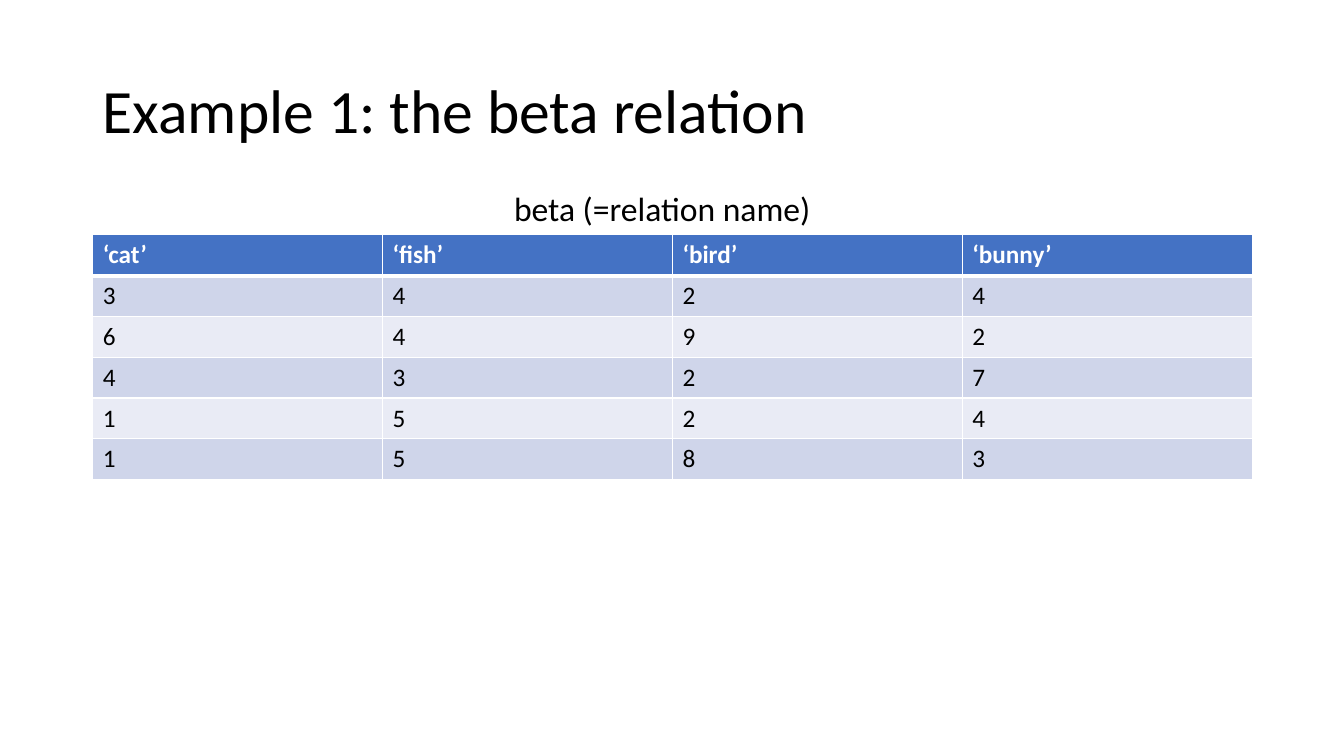
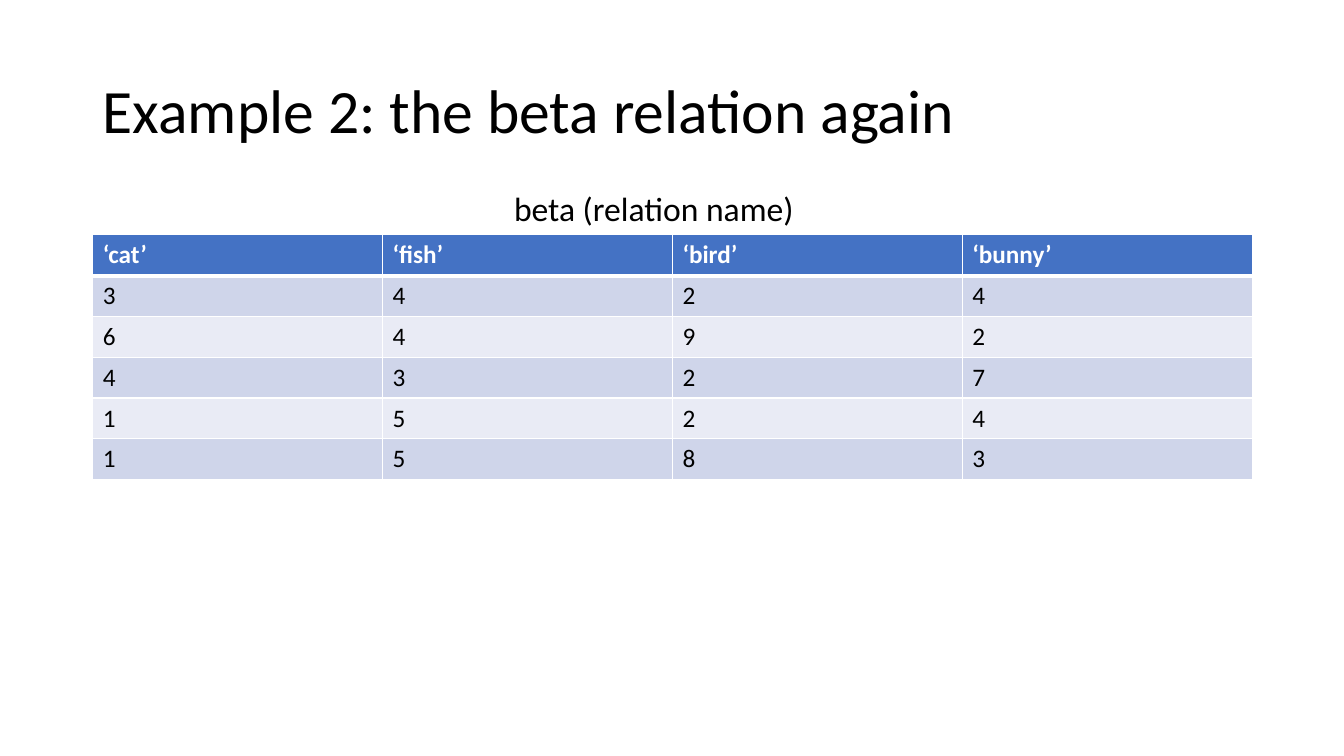
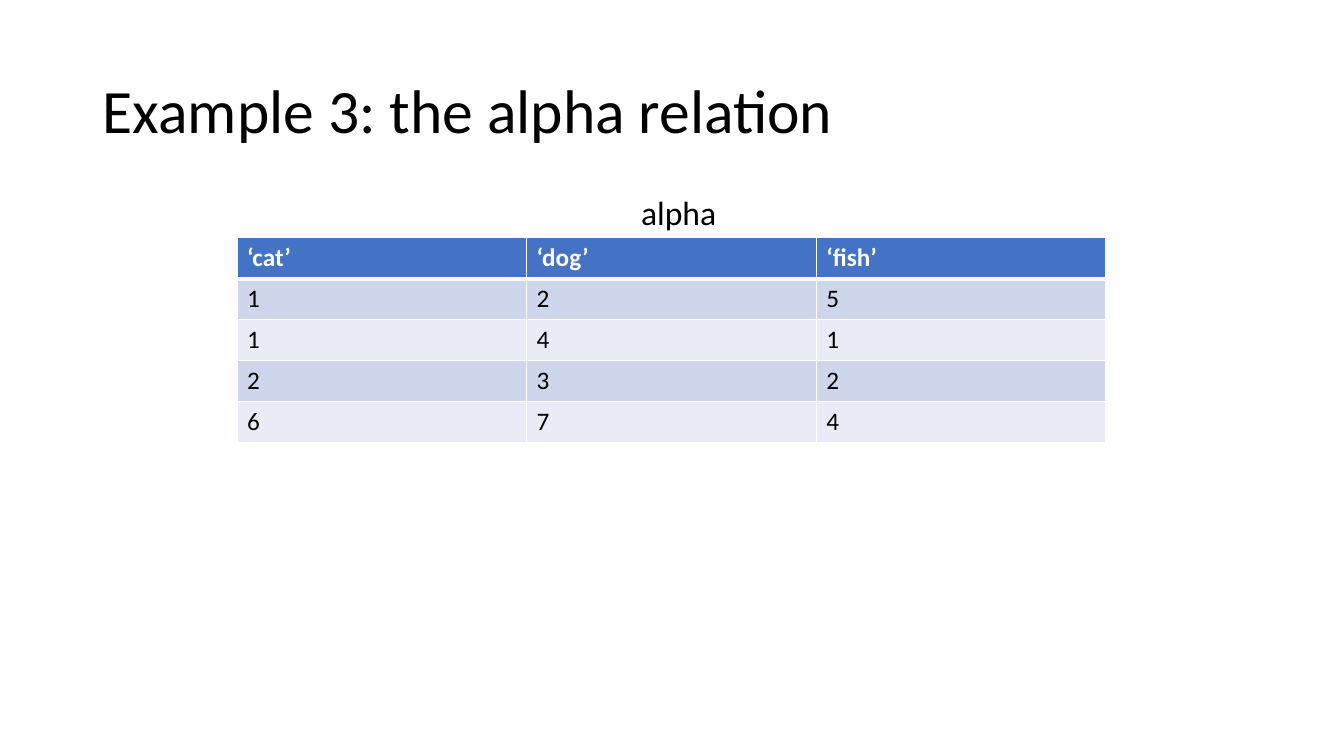
"""Build three slides that show example relations as tables."""
from dataclasses import dataclass

from lxml.etree import SubElement
from pptx import Presentation
from pptx.dml.color import RGBColor
from pptx.enum.text import MSO_ANCHOR, MSO_AUTO_SIZE
from pptx.oxml.ns import qn
from pptx.util import Inches, Pt


@dataclass(frozen=True)
class Theme:
    font: str = "Calibri"
    ink: str = "000000"
    paper: str = "FFFFFF"
    header: str = "4472C4"
    bands: tuple = ("CFD5EA", "E9EBF5")
    title_size: int = 44
    caption_size: int = 24
    cell_size: int = 18
    rule: int = 1
    header_rule: int = 3


THEME = Theme()
TITLE_AREA = (0.92, 0.4, 11.5, 1.45)

BETA = [
    ("‘cat’", "‘fish’", "‘bird’", "‘bunny’"),
    (3, 4, 2, 4),
    (6, 4, 9, 2),
    (4, 3, 2, 7),
    (1, 5, 2, 4),
    (1, 5, 8, 3),
]
ALPHA = [
    ("‘cat’", "‘dog’", "‘fish’"),
    (1, 2, 5),
    (1, 4, 1),
    (2, 3, 2),
    (6, 7, 4),
]
BETA_AREA = (0.92, 2.33, 11.5, 2.43)
ALPHA_AREA = (2.35, 2.36, 8.62, 2.03)

SLIDES = [
    {"title": "Example 1: the beta relation", "caption": "beta (=relation name)",
     "caption_area": (5, 1.82, 3.17, 0.5), "rows": BETA, "table_area": BETA_AREA},
    {"title": "Example 2: the beta relation again", "caption": "beta (relation name)",
     "caption_area": (5, 1.82, 3, 0.5), "rows": BETA, "table_area": BETA_AREA},
    {"title": "Example 3: the alpha relation", "caption": "alpha",
     "caption_area": (6.26, 1.85, 0.96, 0.5), "rows": ALPHA, "table_area": ALPHA_AREA},
]


def to_inches(area):
    return [Inches(length) for length in area]


def write(frame, text, size, color=THEME.ink, bold=False):
    paragraph = frame.paragraphs[0]
    span = paragraph.add_run()
    span.text = str(text)
    formats = {"name": THEME.font, "size": Pt(size), "bold": bold}
    for name, value in formats.items():
        setattr(span.font, name, value)
    span.font.color.rgb = RGBColor.from_string(color)
    return paragraph


def add_text(page, area, text, size, **frame_formats):
    frame = page.shapes.add_textbox(*to_inches(area)).text_frame
    for name, value in frame_formats.items():
        setattr(frame, name, value)
    return write(frame, text, size)


def add_borders(cell, row_number):
    widths = {"L": THEME.rule, "R": THEME.rule,
              "T": THEME.header_rule if row_number == 1 else THEME.rule,
              "B": THEME.header_rule if row_number == 0 else THEME.rule}
    properties = cell._tc.get_or_add_tcPr()
    for side, width in widths.items():
        line = SubElement(properties, qn(f"a:ln{side}"), w=str(Pt(width)))
        fill = SubElement(line, qn("a:solidFill"))
        SubElement(fill, qn("a:srgbClr"), val=THEME.paper)


def add_relation(page, area, rows):
    table = page.shapes.add_table(len(rows), len(rows[0]), *to_inches(area)).table
    for row_number, row in enumerate(rows):
        is_header = row_number == 0
        band = THEME.header if is_header else THEME.bands[(row_number - 1) % 2]
        color = THEME.paper if is_header else THEME.ink
        for column_number, value in enumerate(row):
            cell = table.cell(row_number, column_number)
            add_borders(cell, row_number)
            cell.fill.solid()
            cell.fill.fore_color.rgb = RGBColor.from_string(band)
            write(cell.text_frame, value, THEME.cell_size, color, is_header)


deck = Presentation()
deck.slide_width, deck.slide_height = Inches(13.33), Inches(7.5)
for content in SLIDES:
    page = deck.slides.add_slide(deck.slide_layouts[6])
    title = add_text(page, TITLE_AREA, content["title"], THEME.title_size,
                     word_wrap=True, vertical_anchor=MSO_ANCHOR.MIDDLE)
    title.line_spacing = 0.9
    add_relation(page, content["table_area"], content["rows"])
    add_text(page, content["caption_area"], content["caption"], THEME.caption_size,
             word_wrap=False, auto_size=MSO_AUTO_SIZE.SHAPE_TO_FIT_TEXT)
deck.save("out.pptx")
